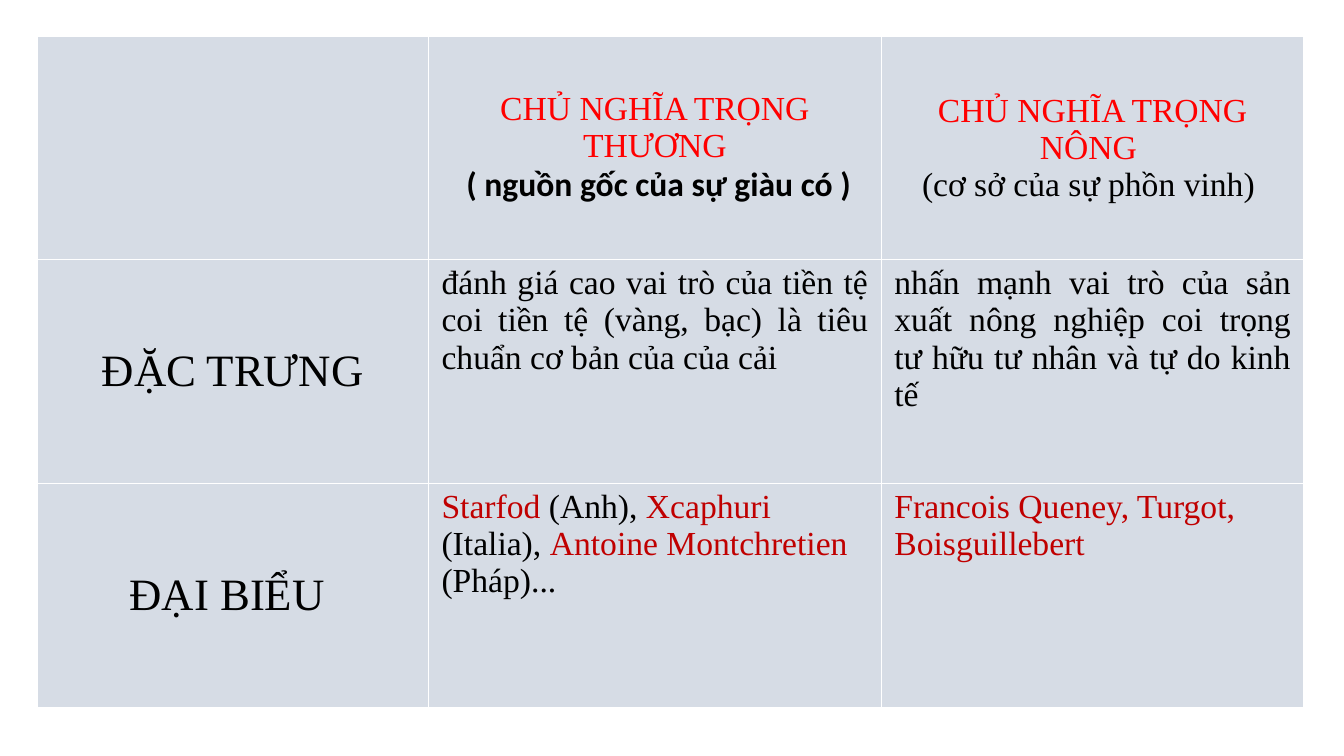
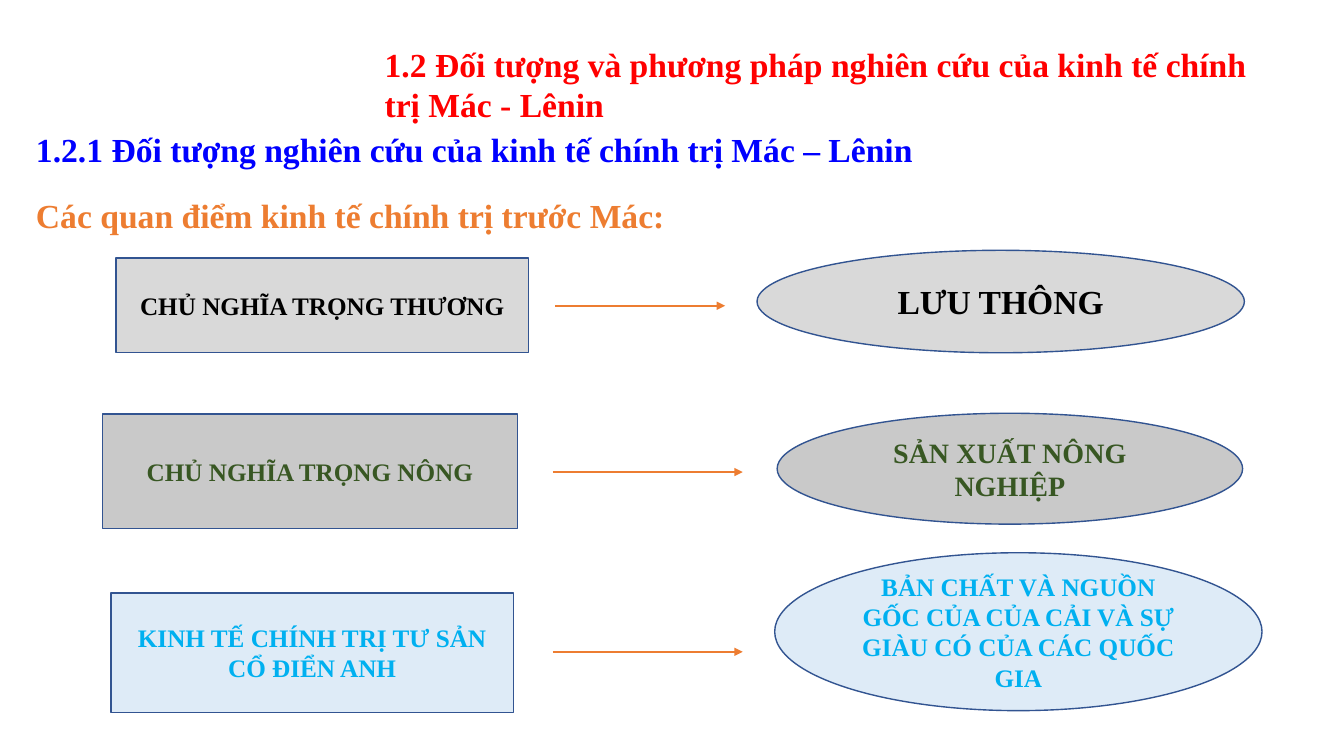
from dataclasses import dataclass

from lxml import etree
from pptx import Presentation
from pptx.dml.color import RGBColor
from pptx.enum.shapes import MSO_CONNECTOR, MSO_SHAPE
from pptx.enum.text import MSO_ANCHOR, PP_ALIGN
from pptx.oxml.ns import qn
from pptx.util import Inches, Pt

RECTANGLE, ELLIPSE = MSO_SHAPE.RECTANGLE, MSO_SHAPE.OVAL
STRAIGHT = MSO_CONNECTOR.STRAIGHT
TOP, MIDDLE = MSO_ANCHOR.TOP, MSO_ANCHOR.MIDDLE
LEFT, CENTER, JUSTIFY = PP_ALIGN.LEFT, PP_ALIGN.CENTER, PP_ALIGN.JUSTIFY

SLIDE_WIDTH, SLIDE_HEIGHT = Inches(13.33), Inches(7.5)
GRID_ROWS = 90
UNIT = SLIDE_HEIGHT / GRID_ROWS  # square grid, 160 columns wide

FONT = "Times New Roman"
BLACK, RED, DARK_RED, BLUE = "000000", "FF0000", "C00000", "0000FF"
ORANGE, OUTLINE, TABLE_FILL = "ED7D31", "325491", "D6DCE5"


@dataclass
class TextRun:
    text: str
    color: str = BLACK
    size: int = 24
    bold: bool = False
    font: str = FONT


def grid(*lengths):
    """Turn grid columns or rows into slide lengths."""
    return [round(length * UNIT) for length in lengths]


def rgb(color):
    return RGBColor.from_string(color)


def write(text_frame, paragraphs, alignment=LEFT):
    """Fill a text frame; each paragraph is a list of TextRun."""
    for index, text_runs in enumerate(paragraphs):
        paragraph = text_frame.add_paragraph() if index else text_frame.paragraphs[0]
        paragraph.alignment = alignment
        for text_run in text_runs:
            run = paragraph.add_run()
            run.text = text_run.text
            run.font.name = text_run.font
            run.font.size = Pt(text_run.size)
            run.font.bold = text_run.bold
            run.font.color.rgb = rgb(text_run.color)


def add_text(slide, box, paragraphs):
    text_frame = slide.shapes.add_textbox(*grid(*box)).text_frame
    text_frame.word_wrap = True
    write(text_frame, paragraphs)
    return text_frame


def add_label(slide, kind, box, fill, text_run):
    """Add an outlined shape with centred text."""
    shape = slide.shapes.add_shape(kind, *grid(*box))
    shape.shadow.inherit = False
    shape.fill.solid()
    shape.fill.fore_color.rgb = rgb(fill)
    shape.line.color.rgb = rgb(OUTLINE)
    shape.line.width = Pt(1)
    shape.text_frame.word_wrap = True
    shape.text_frame.vertical_anchor = MIDDLE
    write(shape.text_frame, [[text_run]], CENTER)


def add_arrow(slide, start, end, row):
    connector = slide.shapes.add_connector(STRAIGHT, *grid(start, row, end, row))
    connector.line.color.rgb = rgb(ORANGE)
    connector.line.width = Pt(1.5)
    etree.SubElement(connector.line._get_or_add_ln(), qn("a:tailEnd"), type="triangle")
    etree.SubElement(connector._element.spPr, qn("a:effectLst"))


def add_table(slide, origin, widths, row_height, rows):
    """Each cell is a tuple: paragraphs, alignment, anchor."""
    size = sum(widths), row_height * len(rows)
    table = slide.shapes.add_table(len(rows), len(widths), *grid(*origin, *size)).table
    table.first_row = table.horz_banding = False
    for column, width in zip(table.columns, grid(*widths)):
        column.width = width
    for row_index, row in enumerate(rows):
        for column_index, (paragraphs, alignment, anchor) in enumerate(row):
            cell = table.cell(row_index, column_index)
            cell.fill.solid()
            cell.fill.fore_color.rgb = rgb(TABLE_FILL)
            cell.margin_left = cell.margin_right = Inches(0.13)
            cell.vertical_anchor = anchor
            write(cell.text_frame, paragraphs, alignment)


def build_comparison(slide):
    def centered(*paragraphs):
        return paragraphs, CENTER, MIDDLE

    def body(alignment, *text_runs):
        return [text_runs], alignment, TOP

    add_table(slide, (4.4, 4.3), (46.6, 53.9, 50.3), 26.64, [
        [
            centered(),
            centered(
                [TextRun("CHỦ NGHĨA TRỌNG THƯƠNG", RED)],
                [TextRun(" ( nguồn gốc của sự giàu có )", bold=True, font="Calibri")],
            ),
            centered(
                [TextRun("CHỦ NGHĨA TRỌNG NÔNG ", RED)],
                [TextRun("(cơ sở của sự phồn vinh) ")],
            ),
        ],
        [
            centered([TextRun("ĐẶC TRƯNG", size=32)]),
            body(JUSTIFY, TextRun("đánh giá cao vai trò của tiền tệ coi tiền tệ "
                                  "(vàng, bạc) là tiêu chuẩn cơ bản của của cải")),
            body(JUSTIFY, TextRun("nhấn mạnh vai trò của sản xuất nông nghiệp "
                                  "coi trọng tư hữu tư nhân và tự do kinh tế")),
        ],
        [
            centered([TextRun("ĐẠI BIỂU ", size=32)]),
            body(LEFT,
                 TextRun("Starfod ", DARK_RED), TextRun("(Anh), "),
                 TextRun("Xcaphuri ", DARK_RED), TextRun("(Italia), "),
                 TextRun("Antoine Montchretien ", DARK_RED), TextRun("(Pháp)...")),
            body(LEFT, TextRun("Francois Queney, Turgot, Boisguillebert", DARK_RED)),
        ],
    ])


def build_viewpoints(slide):
    add_text(slide, (44.6, 4.6, 107.6, 15.7), [[TextRun(
        "1.2 Đối tượng và phương pháp nghiên cứu của kinh tế chính trị Mác - Lênin",
        RED, bold=True)]])
    headings = add_text(slide, (3.1, 15.7, 156.8, 12.8), [
        [TextRun("1.2.1 Đối tượng nghiên cứu của kinh tế chính trị Mác – Lênin",
                 BLUE, bold=True)],
        [TextRun("Các quan điểm kinh tế chính trị trước Mác:", ORANGE, bold=True)],
    ])
    for paragraph in headings.paragraphs:
        paragraph.line_spacing = 0.8
    headings.paragraphs[1].space_before = Pt(24)

    # school, its box, subject, its box, subject size, fill, text colour, arrow
    viewpoints = [
        ("CHỦ NGHĨA TRỌNG THƯƠNG", (13.8, 30.7, 49.1, 11.3),
         "LƯU THÔNG", (90.1, 29.8, 58, 12.2),
         24, "D9D9D9", BLACK, (66.1, 86.3, 36.4)),
        ("CHỦ NGHĨA TRỌNG NÔNG", (12.2, 49.3, 49.4, 13.6),
         "SẢN XUẤT NÔNG NGHIỆP", (92.5, 49.2, 55.4, 13.2),
         20, "C9C9C9", "385723", (65.8, 88.4, 56.2)),
        ("KINH TẾ CHÍNH TRỊ TƯ SẢN CỔ ĐIỂN ANH", (13.2, 70.6, 47.9, 14.2),
         "BẢN CHẤT VÀ NGUỒN GỐC CỦA CỦA CẢI VÀ SỰ GIÀU CÓ CỦA CÁC QUỐC GIA",
         (92.2, 65.8, 58, 18.8),
         18, "DEEBF7", "00B0F0", (65.8, 88.4, 77.6)),
    ]
    for school, school_box, subject, subject_box, size, fill, color, arrow in viewpoints:
        add_label(slide, RECTANGLE, school_box, fill, TextRun(school, color, 18, True))
        add_label(slide, ELLIPSE, subject_box, fill, TextRun(subject, color, size, True))
        add_arrow(slide, *arrow)


def main():
    presentation = Presentation()
    presentation.slide_width, presentation.slide_height = SLIDE_WIDTH, SLIDE_HEIGHT
    blank_layout = presentation.slide_layouts[6]
    for build in (build_comparison, build_viewpoints):
        build(presentation.slides.add_slide(blank_layout))
    presentation.save("out.pptx")


if __name__ == "__main__":
    main()
